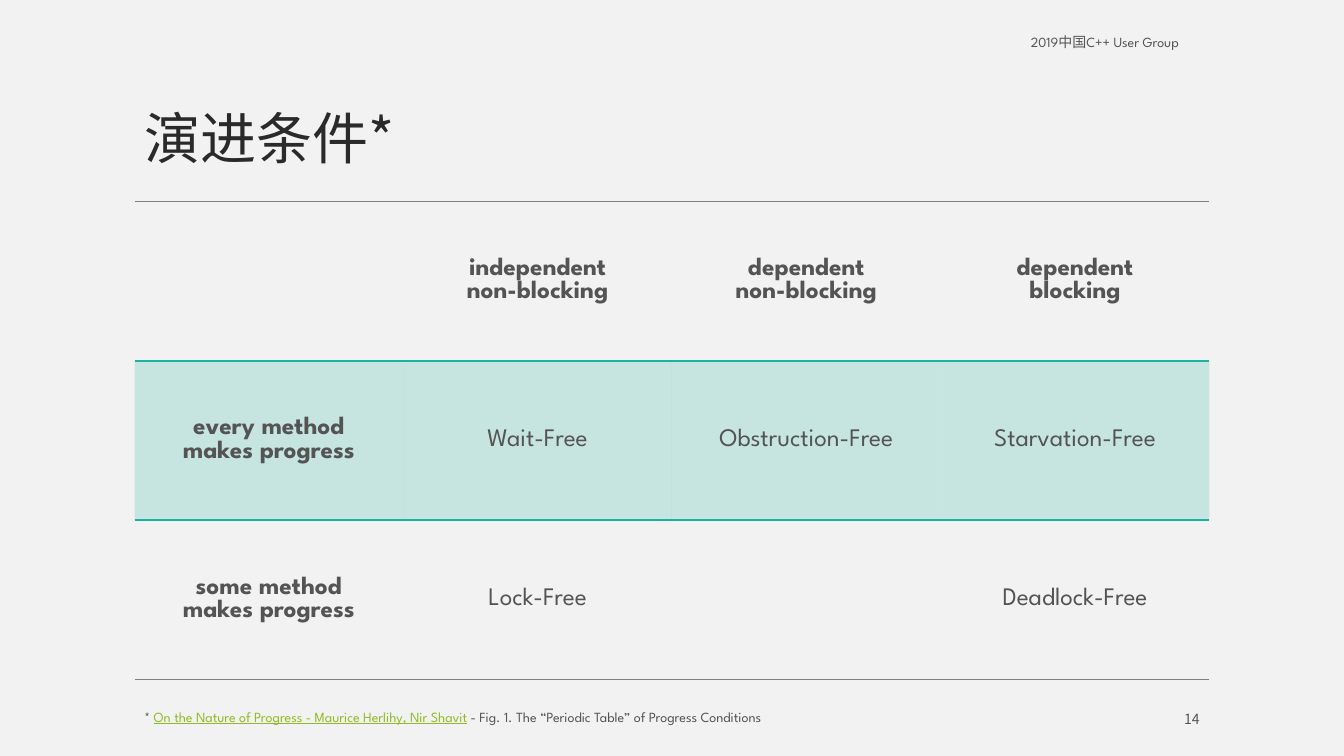
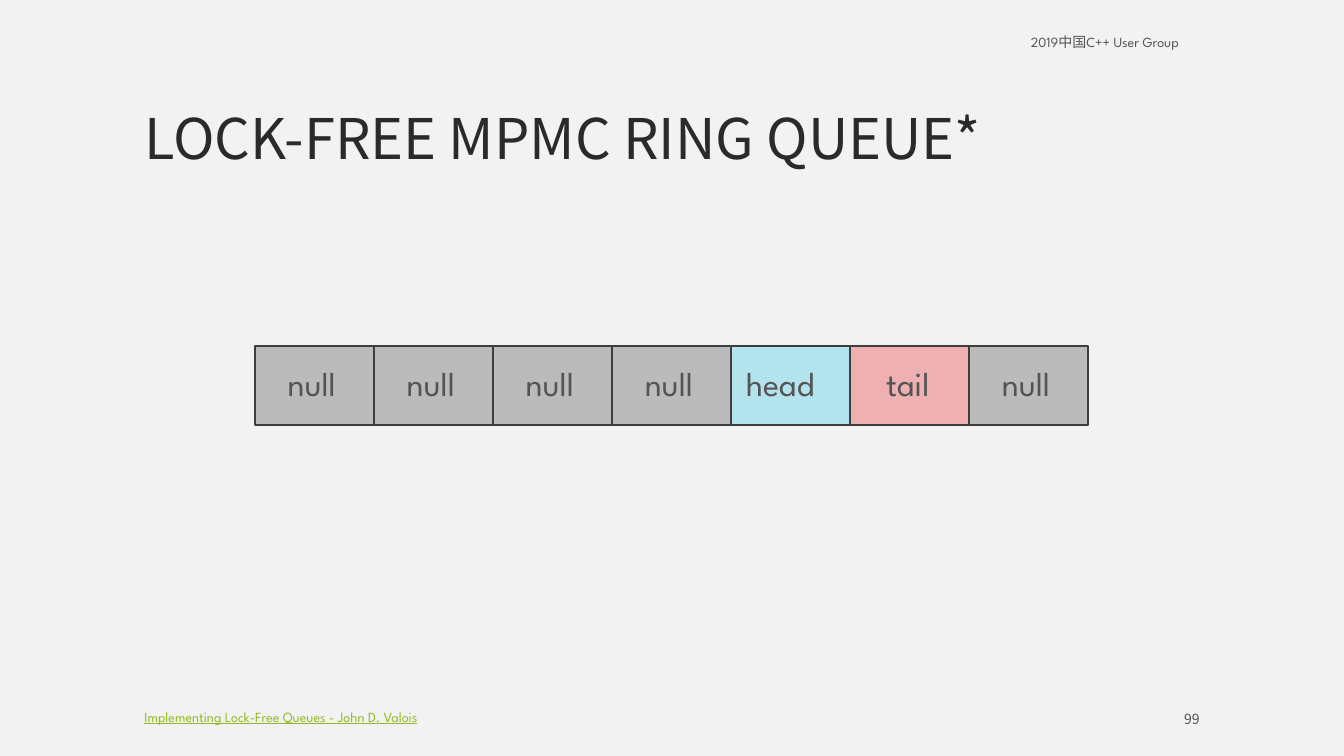
from dataclasses import dataclass
from lxml.etree import SubElement
from pptx import Presentation
from pptx.dml.color import RGBColor
from pptx.enum.shapes import MSO_SHAPE
from pptx.enum.text import MSO_ANCHOR, MSO_AUTO_SIZE, PP_ALIGN
from pptx.oxml import parse_xml
from pptx.oxml.ns import nsdecls, qn
from pptx.util import Cm, Pt


@dataclass(frozen=True)
class Theme:
    page: str = "F2F2F2"
    dark: str = "2A2A2A"
    text: str = "545454"
    link: str = "90BB23"
    teal: str = "1AB39F"
    rule: str = "808080"
    edge: str = "3E3E3E"
    gray: str = "BBBBBB"
    blue: str = "B3E3ED"
    pink: str = "EEB0B1"
    latin: str = "League Spartan"
    asian: str = "Noto Sans CJK SC"
    title: int = 40
    slot: int = 24
    cell: int = 18
    small: int = 10


THEME = Theme()
WIDE, HIGH = 33.87, 19.05
LEFT, SPAN = 3.39, 27.09
HEAD_BOX = (25.73, 0.76, 4.75, 0.64)
TITLE_BOX = (LEFT, 0.76, SPAN, 3.68)
TABLE_BOX = (LEFT, 5.08, SPAN, 12.04)
QUEUE_BOX = (6.43, 8.71, 21, 2.01)
NOTE_BOX = (LEFT, 17.78, 20, 0.64)
NUM_BOX = (27.3, 17.9, 3.18, 0.51)

GRID = [
    ["", "independent\nnon-blocking", "dependent\nnon-blocking", "dependent\nblocking"],
    ["every method\nmakes progress", "Wait-Free", "Obstruction-Free", "Starvation-Free"],
    ["some method\nmakes progress", "Lock-Free", "", "Deadlock-Free"],
]
QUEUE = ["null"] * 4 + ["head", "tail", "null"]
SLOTS = {
    "null": (THEME.gray, 0.82),
    "head": (THEME.blue, 0.37),
    "tail": (THEME.pink, 0.9),
}


def apply(item, **vals):
    for key, val in vals.items():
        setattr(item, key, val)


def rgb(code):
    return RGBColor.from_string(code)


def lengths(box):
    return [Cm(n) for n in box]


def style(run, size, color=THEME.text, face=THEME.latin, **vals):
    apply(run.font, name=face, size=Pt(size), **vals)
    run.font.color.rgb = rgb(color)
    SubElement(run.font._element, qn("a:ea"), typeface=THEME.asian)


def write(para, text, size, align=PP_ALIGN.LEFT, space=0.9, **vals):
    apply(para, alignment=align, line_spacing=space)
    run = para.add_run()
    run.text = text
    style(run, size, **vals)


def label(slide, box, parts, face=THEME.latin, align=PP_ALIGN.LEFT, anchor=MSO_ANCHOR.TOP):
    shape = slide.shapes.add_textbox(*lengths(box))
    frame = shape.text_frame
    apply(frame, word_wrap=True, vertical_anchor=anchor)
    for text, vals in parts:
        write(frame.paragraphs[0], text, THEME.small, align, face=face, **vals)
    return shape


def border(cell, side, color, width):
    cell._tc.get_or_add_tcPr().insert(0, parse_xml(
        f'<a:{side} {nsdecls("a")} w="{Pt(width)}"><a:solidFill>'
        f'<a:srgbClr val="{color}"/></a:solidFill></a:{side}>'))


def shade(cell, color, alpha):
    cell.fill.solid()
    cell.fill.fore_color.rgb = rgb(color)
    tint = cell._tc.tcPr.find(".//" + qn("a:srgbClr"))
    SubElement(tint, qn("a:alpha"), val=str(alpha * 1000))


def matrix(slide, box, grid):
    rows, cols = len(grid), len(grid[0])
    table = slide.shapes.add_table(rows, cols, *lengths(box)).table
    apply(table, first_row=False, horz_banding=False)
    table._tbl.tblPr.find(qn("a:tableStyleId")).text = "{2D5ABB26-0587-4C30-8999-92F81FD0307C}"
    lines = [(THEME.rule, 0.75), (THEME.teal, 1.5), None, (THEME.rule, 0.75)]
    for r, words in enumerate(grid):
        for c, text in enumerate(words):
            cell = table.cell(r, c)
            cell.vertical_anchor = MSO_ANCHOR.MIDDLE
            if r == 1:
                shade(cell, THEME.teal, 20)
            else:
                cell.fill.background()
            for side, line in (("lnB", lines[r + 1]), ("lnT", lines[r])):
                if line:
                    border(cell, side, *line)
            frame = cell.text_frame
            for i, part in enumerate(text.split("\n") if text else []):
                para = frame.add_paragraph() if i else frame.paragraphs[0]
                write(para, part, THEME.cell, PP_ALIGN.CENTER, 1.0, bold=r == 0 or c == 0)


def queue(slide, box, names):
    left, top, wide, high = box
    step = wide / len(names)
    group = slide.shapes.add_group_shape()
    for i, name in enumerate(names):
        color, inset = SLOTS[name]
        area = lengths((left + i * step, top, step, high))
        slot = group.shapes.add_shape(MSO_SHAPE.RECTANGLE, *area)
        slot.shadow.inherit = False
        slot.fill.solid()
        slot.fill.fore_color.rgb = rgb(color)
        slot.line.color.rgb = rgb(THEME.edge)
        slot.line.width = Pt(1.5)
        frame = slot.text_frame
        apply(frame, word_wrap=True, margin_left=Cm(inset), margin_right=0,
              vertical_anchor=MSO_ANCHOR.MIDDLE)
        write(frame.paragraphs[0], name, THEME.slot)


def page(deck, layout, title, num, note):
    slide = deck.slides.add_slide(layout)
    frame = slide.shapes.title.text_frame
    apply(frame, vertical_anchor=MSO_ANCHOR.BOTTOM, auto_size=MSO_AUTO_SIZE.NONE)
    write(frame.paragraphs[0], title, THEME.title, color=THEME.dark, face=THEME.asian)
    label(slide, NUM_BOX, [(num, {})], THEME.asian, PP_ALIGN.RIGHT, MSO_ANCHOR.MIDDLE)
    label(slide, NOTE_BOX, note)
    return slide


def brand(layout, slide):
    head = label(slide, HEAD_BOX, [("2019中国C++ User Group", {})])
    layout.shapes._spTree.append(head._element)


def main():
    deck = Presentation()
    apply(deck, slide_width=Cm(WIDE), slide_height=Cm(HIGH))
    fill = deck.slide_master.background.fill
    fill.solid()
    fill.fore_color.rgb = rgb(THEME.page)
    layout = deck.slide_layouts[5]
    spot = dict(zip(("left", "top", "width", "height"), lengths(TITLE_BOX)))
    apply(layout.placeholders[0], **spot)
    link = {"color": THEME.link, "underline": True}

    first = page(deck, layout, "演进条件*", "14", [
        ("* ", {}),
        ("On the Nature of Progress - Maurice Herlihy, Nir Shavit", link),
        (" - Fig. 1. The “Periodic Table” of Progress Conditions", {}),
    ])
    brand(layout, first)
    matrix(first, TABLE_BOX, GRID)

    second = page(deck, layout, "LOCK-FREE MPMC RING QUEUE*", "99", [
        ("Implementing Lock-Free Queues - John D. Valois", link),
    ])
    queue(second, QUEUE_BOX, QUEUE)
    deck.save("out.pptx")


if __name__ == "__main__":
    main()
